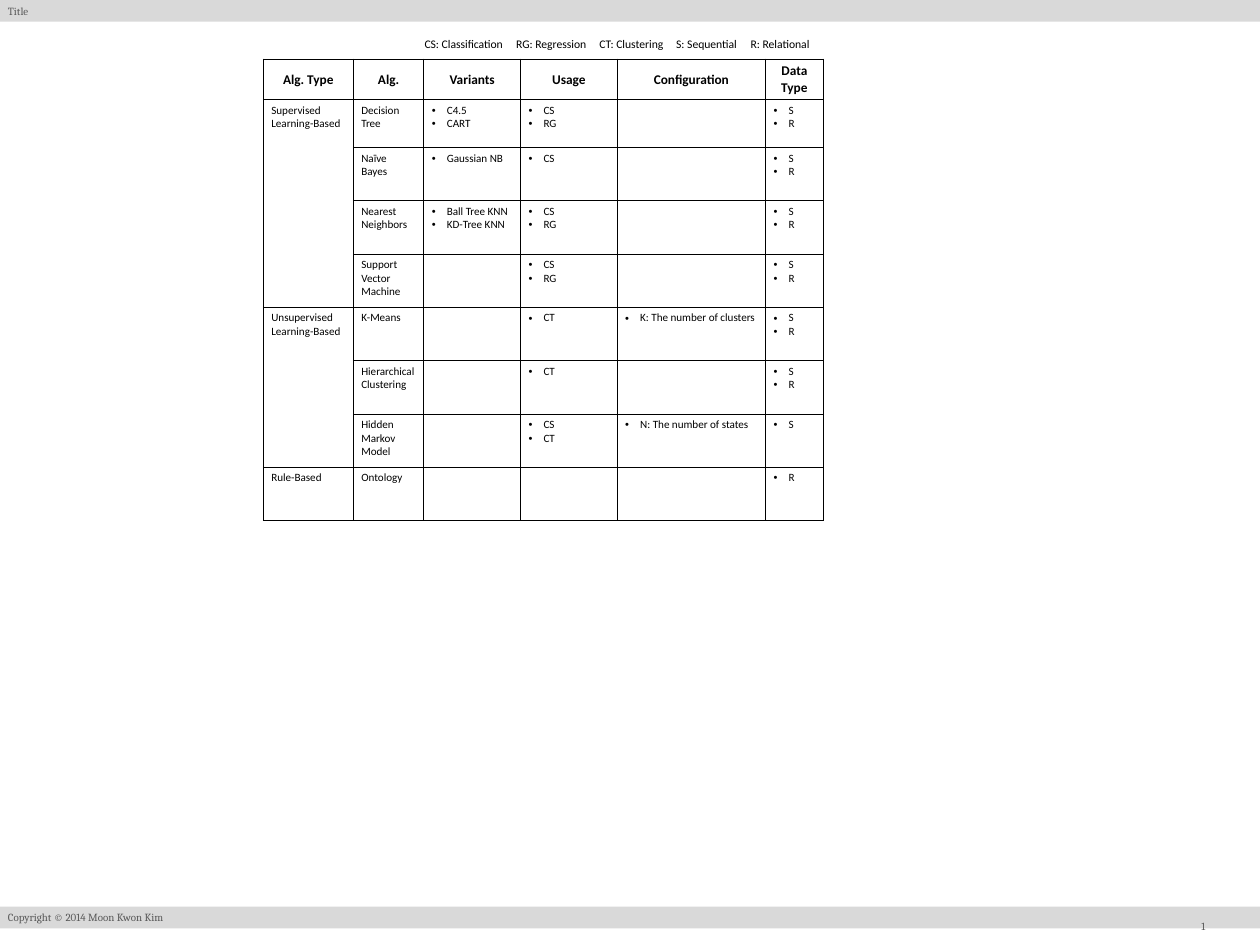
from lxml.etree import SubElement
from pptx import Presentation
from pptx.dml.color import RGBColor
from pptx.enum.shapes import MSO_SHAPE as Shape
from pptx.enum.text import MSO_ANCHOR as Anchor, PP_ALIGN as Align
from pptx.oxml.ns import qn
from pptx.util import Pt

WIDTH, HEIGHT = 1134, 850.5
BAND_HEIGHT = 19.5
SMALL_PRINT = dict(size=9.8, font="Cambria", color="595959")

HEADINGS = ["Alg. Type", "Alg.", "Variants", "Usage", "Configuration", "Data Type"]
COLUMN_WIDTHS = [81, 63.5, 87, 87, 133.5, 52]
ROW_HEIGHTS = [36.5, 43] + [48] * 7
BULLET_COLUMN = 2
ALGORITHMS = {
    "Supervised Learning-Based": [
        ("Decision\nTree", "C4.5\nCART", "CS\nRG", "", "S\nR"),
        ("Naïve\nBayes", "Gaussian NB", "CS", "", "S\nR"),
        ("Nearest\nNeighbors", "Ball Tree KNN\nKD-Tree KNN", "CS\nRG", "", "S\nR"),
        ("Support\nVector\nMachine", "", "CS\nRG", "", "S\nR"),
    ],
    "Unsupervised Learning-Based": [
        ("K-Means", "", "CT", "K: The number of clusters", "S\nR"),
        ("Hierarchical\nClustering", "", "CT", "", "S\nR"),
        ("Hidden\nMarkov\nModel", "", "CS\nCT", "N: The number of states", "S"),
    ],
    "Rule-Based": [("Ontology", "", "", "", "R")],
}
LEGEND = ["CS: Classification", "RG: Regression", "CT: Clustering",
          "S: Sequential", "R: Relational"]
LEGEND_TABS = [82.5, 157.5, 226.5, 293.5]


def rgb(value):
    """Turn a hex string into a colour."""
    return RGBColor.from_string(value)


def add_bullet(paragraph, indent=13.5):
    """Give a paragraph a hanging round bullet."""
    properties = paragraph._p.get_or_add_pPr()
    properties.set("marL", str(Pt(indent)))
    properties.set("indent", str(-Pt(indent)))
    SubElement(properties, qn("a:buFont"), typeface="Arial")
    SubElement(properties, qn("a:buChar"), char="•")


def add_tab_stops(paragraph, positions):
    """Set left tab stops on a paragraph."""
    stops = SubElement(paragraph._p.get_or_add_pPr(), qn("a:tabLst"))
    for position in positions:
        SubElement(stops, qn("a:tab"), pos=str(Pt(position)), algn="l")


def write(frame, text, size=10, font="Calibri", color="000000", bold=False,
          align=Align.LEFT, bullet=False, tabs=()):
    """Fill a text frame, one paragraph for each line of the text."""
    frame.word_wrap = True
    for index, line in enumerate(text.split("\n")):
        paragraph = frame.add_paragraph() if index else frame.paragraphs[0]
        paragraph.alignment = align
        if bullet:
            add_bullet(paragraph)
        if tabs:
            add_tab_stops(paragraph, tabs)
        run = paragraph.add_run()
        run.text = line
        run.font.size, run.font.name, run.font.bold = Pt(size), font, bold
        run.font.color.rgb = rgb(color)


def add_band(slide, left, top, width, height, text):
    """Draw a grey band with small print at its left."""
    band = slide.shapes.add_shape(Shape.RECTANGLE, Pt(left), Pt(top), Pt(width), Pt(height))
    band.shadow.inherit = False
    band.fill.solid()
    band.fill.fore_color.rgb = rgb("D9D9D9")
    band.line.fill.background()
    band.text_frame.vertical_anchor = Anchor.MIDDLE
    write(band.text_frame, text, **SMALL_PRINT)


def add_text(slide, left, top, width, height, text, anchor=Anchor.TOP, **style):
    """Place a text box."""
    box = slide.shapes.add_textbox(Pt(left), Pt(top), Pt(width), Pt(height))
    box.text_frame.vertical_anchor = anchor
    write(box.text_frame, text, **style)


def format_cell(cell):
    """Give a cell thin black borders and no fill."""
    properties = cell._tc.get_or_add_tcPr()
    for side in ("lnL", "lnR", "lnT", "lnB"):
        line = SubElement(properties, qn(f"a:{side}"), w=str(Pt(1)))
        SubElement(SubElement(line, qn("a:solidFill")), qn("a:srgbClr"), val="000000")
    cell.fill.background()


def add_algorithm_table(slide, left, top):
    """Place the table of algorithms, grouped by type."""
    table = slide.shapes.add_table(
        len(ROW_HEIGHTS), len(COLUMN_WIDTHS), Pt(left), Pt(top),
        Pt(sum(COLUMN_WIDTHS)), Pt(sum(ROW_HEIGHTS))).table
    table.first_row = table.horz_banding = False
    for column, width in zip(table.columns, COLUMN_WIDTHS):
        column.width = Pt(width)
    for row, height in zip(table.rows, ROW_HEIGHTS):
        row.height = Pt(height)
    for cell in table.iter_cells():
        format_cell(cell)

    for column, heading in enumerate(HEADINGS):
        cell = table.cell(0, column)
        cell.vertical_anchor = Anchor.MIDDLE
        write(cell.text_frame, heading, size=12, bold=True, align=Align.CENTER)

    row = 1
    for algorithm_type, entries in ALGORITHMS.items():
        type_cell = table.cell(row, 0)
        if len(entries) > 1:
            type_cell.merge(table.cell(row + len(entries) - 1, 0))
        write(type_cell.text_frame, algorithm_type)
        for entry in entries:
            for column, text in enumerate(entry, start=1):
                if text:
                    write(table.cell(row, column).text_frame, text,
                          bullet=column >= BULLET_COLUMN)
            row += 1


def build_slide(presentation):
    """Lay out the slide with its bands, legend and table."""
    slide = presentation.slides.add_slide(presentation.slide_layouts[6])
    footer_top = 816
    add_band(slide, 0, 0, WIDTH, BAND_HEIGHT, "Title")
    add_band(slide, 0, footer_top, WIDTH, BAND_HEIGHT, "Copyright © 2014 Moon Kwon Kim")
    add_text(slide, WIDTH - 102, footer_top + 0.5, 102, 34, "1",
             anchor=Anchor.MIDDLE, align=Align.CENTER, **SMALL_PRINT)
    add_algorithm_table(slide, 237, 53.3)
    add_text(slide, 375, 29.5, 366, 20, "\t".join(LEGEND), size=10.5, tabs=LEGEND_TABS)


def main():
    """Build and save the presentation."""
    presentation = Presentation()
    presentation.slide_width, presentation.slide_height = Pt(WIDTH), Pt(HEIGHT)
    build_slide(presentation)
    presentation.save("out.pptx")


if __name__ == "__main__":
    main()
